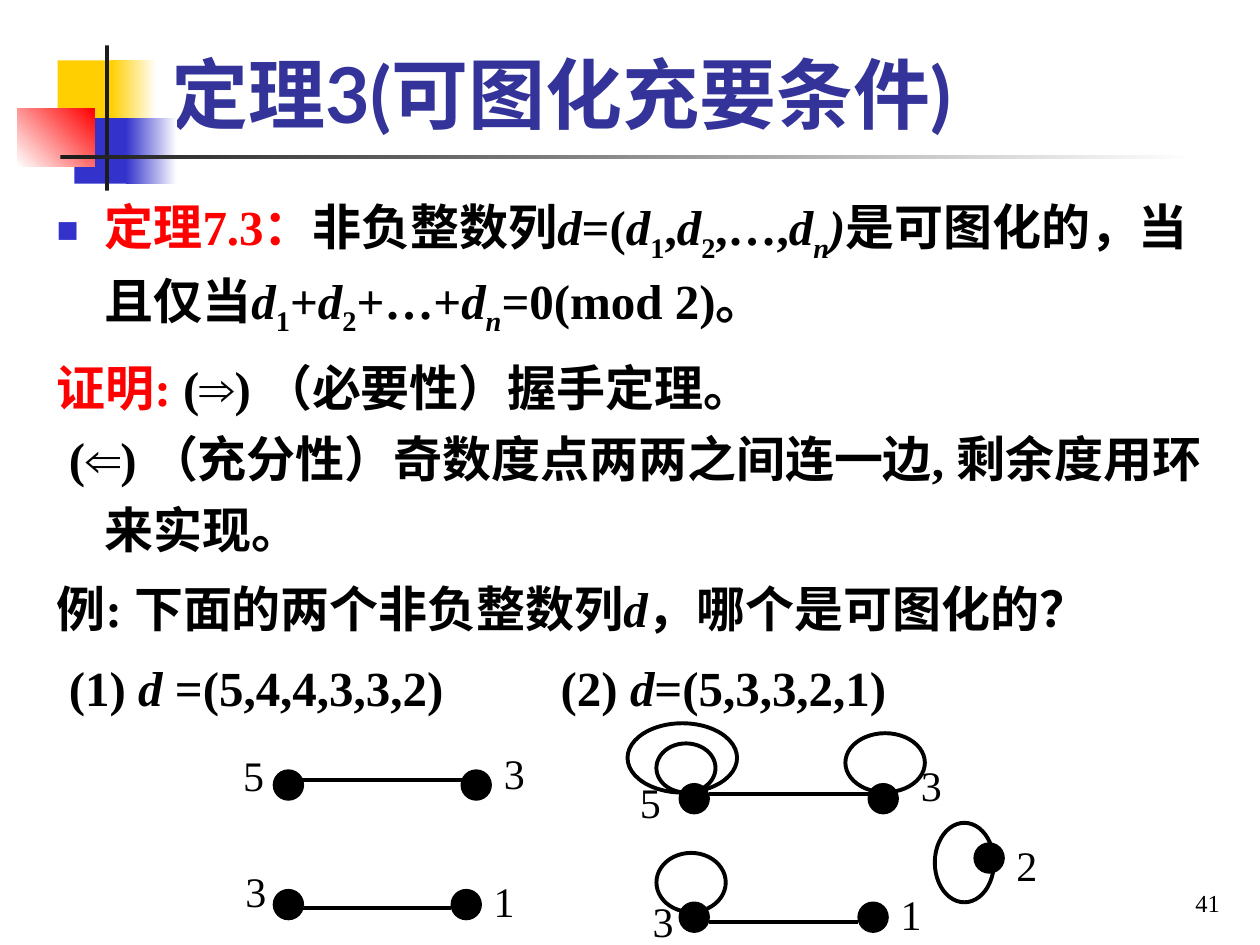
from dataclasses import dataclass
from typing import NamedTuple

from lxml import etree
from pptx import Presentation
from pptx.dml.color import RGBColor
from pptx.enum import shapes, text
from pptx.oxml import ns
from pptx.util import Pt


@dataclass(frozen=True)
class Theme:
    serif: str = "Times New Roman"
    sans: str = "Lato"
    title: str = "333399"
    ink: str = "000000"
    accent: str = "FF0000"
    blue: str = "3333CC"
    yellow: str = "FFCF01"
    bar: str = "1C1C1C"
    paper: str = "FFFFFF"
    title_size: float = 44
    body_size: float = 28
    label_size: float = 24
    number_size: float = 14


THEME = Theme()


class Block(NamedTuple):
    box: tuple[float, float, float, float]
    color: str
    fade_to: str | None = None
    angle: float = 0


class Run(NamedTuple):
    text: str
    italic: bool = False
    sub: bool = False
    color: str = THEME.ink


class Para(NamedTuple):
    runs: list[Run]
    before: float = 8.4
    spacing: float = 1.1
    hang: float = 0
    bullet: bool = False


class Vertex(NamedTuple):
    label: str
    dot: tuple[float, float]
    label_at: tuple[float, float]


class Edge(NamedTuple):
    x1: float
    x2: float
    y: float


class Graph(NamedTuple):
    vertices: list[Vertex]
    edges: list[Edge]
    loops: list[tuple[float, float, float, float]]


DOT = 17.2
LABEL = (26.6, 36)
HANG = 27.4

BLOCKS = [
    Block((33, 34.5, 34.5, 37.5), THEME.yellow),
    Block((63.5, 34.5, 26, 37.5), THEME.yellow, THEME.paper),
    Block((42.5, 67.5, 33, 37.5), THEME.blue),
    Block((72, 67.5, 29, 37.5), THEME.blue, THEME.paper),
    Block((10, 62, 44, 33), THEME.paper, THEME.accent, 45),
    Block((60, 26, 2.3, 83), THEME.bar),
    Block((34.5, 88.5, 648, 2.3), THEME.bar, THEME.paper),
]


def term(index: str) -> list[Run]:
    return [Run("d", italic=True), Run(index, italic=index == "n", sub=True)]


PARAS = [
    Para([Run("定理7.3：", color=THEME.accent), Run("非负整数列"),
          Run("d", italic=True), Run("=("), *term("1"), Run(","), *term("2"),
          Run(",…,"), *term("n"), Run(")", italic=True),
          Run("是可图化的，当且仅当"), *term("1"), Run("+"), *term("2"),
          Run("+…+"), *term("n"), Run("=0(mod 2)。")],
         before=0, hang=HANG, bullet=True),
    Para([Run("证明:", color=THEME.accent), Run(" (⇒) （必要性）握手定理。")], hang=HANG),
    Para([Run(" (⇐) （充分性）奇数度点两两之间连一边, 剩余度用环来实现。")],
         before=0, spacing=1.2, hang=HANG),
    Para([Run("例: 下面的两个非负整数列"), Run("d", italic=True), Run("，哪个是可图化的？")]),
    Para([Run(" (1) "), Run("d ", italic=True), Run("=(5,4,4,3,3,2)\t\t(2) "),
          Run("d", italic=True), Run("=(5,3,3,2,1)")]),
]

GRAPHS = [
    Graph([Vertex("5", (156.2, 440), (131.8, 424.8)),
           Vertex("3", (263.5, 440), (280.8, 423.4)),
           Vertex("3", (156.2, 508.3), (133.2, 491)),
           Vertex("1", (257.8, 508.3), (275, 496.8))],
          [Edge(172.8, 269.3, 445.7), Edge(172.8, 257.8, 519.1)],
          []),
    Graph([Vertex("5", (388.1, 447.8), (358.6, 439.9)),
           Vertex("3", (496.1, 447.8), (519.1, 430.6)),
           Vertex("3", (388.1, 515.5), (365.8, 508.3)),
           Vertex("1", (490.3, 515.5), (507.6, 504)),
           Vertex("2", (556.6, 481.7), (573.8, 475.9))],
          [Edge(405.4, 501.8, 453.6), Edge(405.4, 490.3, 527)],
          [(358.6, 413.3, 62.6, 39.6), (375.1, 424.8, 33.8, 28.1),
           (483.1, 419, 45.4, 33.8), (375.1, 487.4, 39.6, 33.8),
           (534.2, 470.2, 33.8, 45.4)]),
]


def rgb(color: str) -> RGBColor:
    return RGBColor.from_string(color)


def style(font, name: str, size: float, color: str, bold: bool = False) -> None:
    font.name, font.size, font.bold = name, Pt(size), bold
    font.color.rgb = rgb(color)


def place(shape, box: tuple[float, float, float, float]) -> None:
    shape.left, shape.top, shape.width, shape.height = map(Pt, box)


def draw_block(slide, block: Block) -> None:
    rect = slide.shapes.add_shape(shapes.MSO_SHAPE.RECTANGLE, *map(Pt, block.box))
    rect.shadow.inherit = False
    rect.line.fill.background()
    if block.fade_to is None:
        rect.fill.solid()
        rect.fill.fore_color.rgb = rgb(block.color)
        return
    rect.fill.gradient()
    rect.fill.gradient_angle = block.angle
    for stop, color, position in zip(rect.fill.gradient_stops, (block.color, block.fade_to), (0, 1)):
        stop.color.rgb = rgb(color)
        stop.position = position


def write_title(title) -> None:
    place(title, (90.7, 5.8, 613.4, 77))
    frame = title.text_frame
    frame.auto_size = text.MSO_AUTO_SIZE.NONE
    frame.vertical_anchor = text.MSO_ANCHOR.BOTTOM
    heading = frame.paragraphs[0]
    heading.alignment = text.PP_ALIGN.LEFT
    run = heading.add_run()
    run.text = "定理3(可图化充要条件)"
    style(run.font, THEME.sans, THEME.title_size, THEME.title, bold=True)


def set_bullet(paragraph, para: Para) -> None:
    props = paragraph._p.get_or_add_pPr()
    props.set("marL", str(Pt(para.hang)))
    props.set("indent", str(-Pt(para.hang)))
    if not para.bullet:
        etree.SubElement(props, ns.qn("a:buNone"))
        return
    color = etree.SubElement(props, ns.qn("a:buClr"))
    etree.SubElement(color, ns.qn("a:srgbClr"), val=THEME.blue)
    etree.SubElement(props, ns.qn("a:buSzPct"), val="75000")
    etree.SubElement(props, ns.qn("a:buChar"), char="■")


def write_body(body) -> None:
    place(body, (25.2, 105.1, 668.9, 295.2))
    frame = body.text_frame
    frame.auto_size = text.MSO_AUTO_SIZE.NONE
    for i, para in enumerate(PARAS):
        paragraph = frame.add_paragraph() if i else frame.paragraphs[0]
        set_bullet(paragraph, para)
        paragraph.line_spacing = para.spacing
        paragraph.space_before = Pt(para.before)
        for part in para.runs:
            run = paragraph.add_run()
            run.text = part.text
            style(run.font, THEME.serif, THEME.body_size, part.color, bold=True)
            run.font.italic = part.italic
            if part.sub:
                run._r.get_or_add_rPr().set("baseline", "-25000")


def draw_oval(group, box: tuple[float, float, float, float], filled: bool) -> None:
    oval = group.shapes.add_shape(shapes.MSO_SHAPE.OVAL, *map(Pt, box))
    oval.shadow.inherit = False
    oval.line.color.rgb = rgb(THEME.ink)
    oval.line.width = Pt(0.75 if filled else 2.25)
    if filled:
        oval.fill.solid()
        oval.fill.fore_color.rgb = rgb(THEME.ink)
    else:
        oval.fill.background()


def draw_edge(group, edge: Edge) -> None:
    line = group.shapes.add_connector(
        shapes.MSO_CONNECTOR.STRAIGHT, Pt(edge.x1), Pt(edge.y), Pt(edge.x2), Pt(edge.y))
    line.line.color.rgb = rgb(THEME.ink)
    line.line.width = Pt(2.25)
    etree.SubElement(line._element.spPr, ns.qn("a:effectLst"))


def write_text(parent, words: str, box: tuple[float, float, float, float], size: float):
    frame = parent.shapes.add_textbox(*map(Pt, box)).text_frame
    run = frame.paragraphs[0].add_run()
    run.text = words
    style(run.font, THEME.serif, size, THEME.ink)
    return frame


def draw_graph(slide, graph: Graph) -> None:
    group = slide.shapes.add_group_shape()
    for loop in graph.loops:
        draw_oval(group, loop, filled=False)
    for edge in graph.edges:
        draw_edge(group, edge)
    for vertex in graph.vertices:
        draw_oval(group, (*vertex.dot, DOT, DOT), filled=True)
        label = write_text(group, vertex.label, (*vertex.label_at, *LABEL), THEME.label_size)
        label.word_wrap = False


def main() -> None:
    deck = Presentation()
    deck.slide_width, deck.slide_height = Pt(720), Pt(540)
    slide = deck.slides.add_slide(deck.slide_layouts[1])
    for block in BLOCKS:
        draw_block(slide, block)
    write_title(slide.shapes.title)
    write_body(slide.placeholders[1])
    for graph in GRAPHS:
        draw_graph(slide, graph)
    number = write_text(slide, "41", (554.4, 491.8, 149.8, 36), THEME.number_size)
    number.word_wrap = True
    number.vertical_anchor = text.MSO_ANCHOR.BOTTOM
    number.paragraphs[0].alignment = text.PP_ALIGN.RIGHT
    deck.save("out.pptx")


if __name__ == "__main__":
    main()
